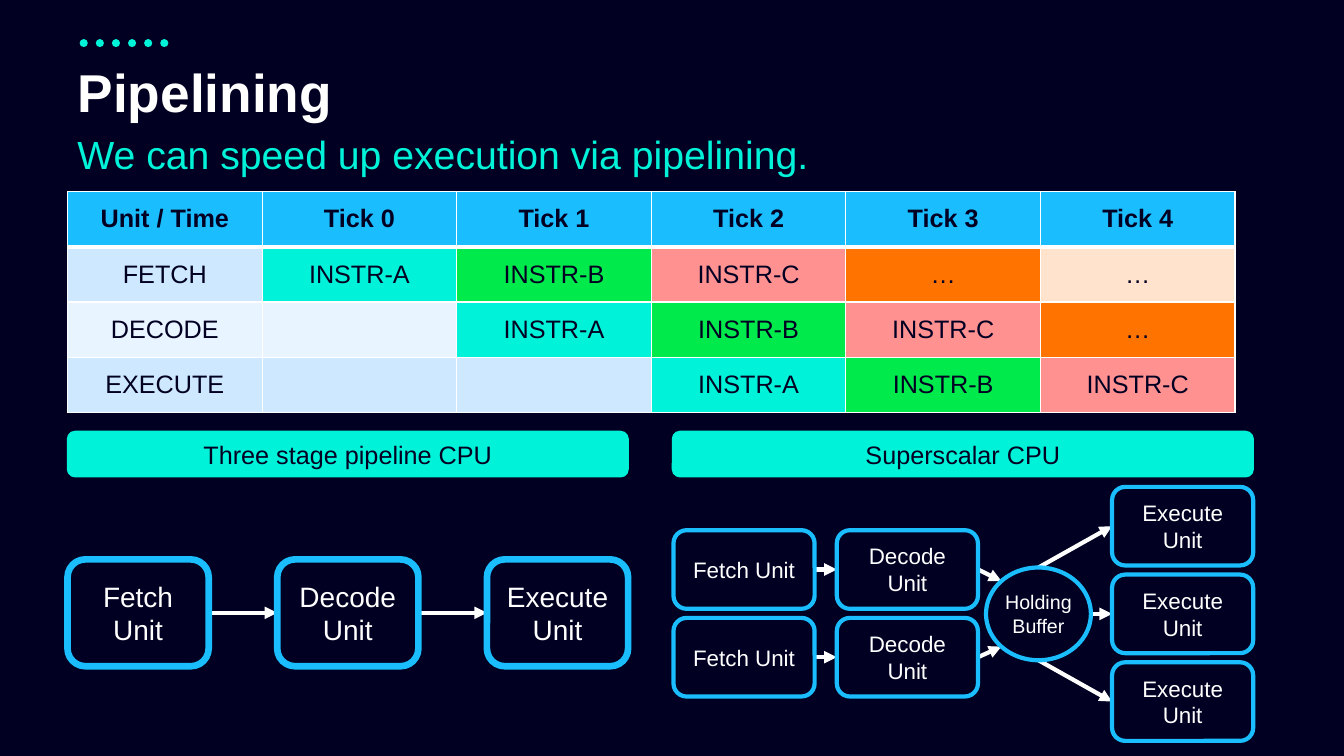
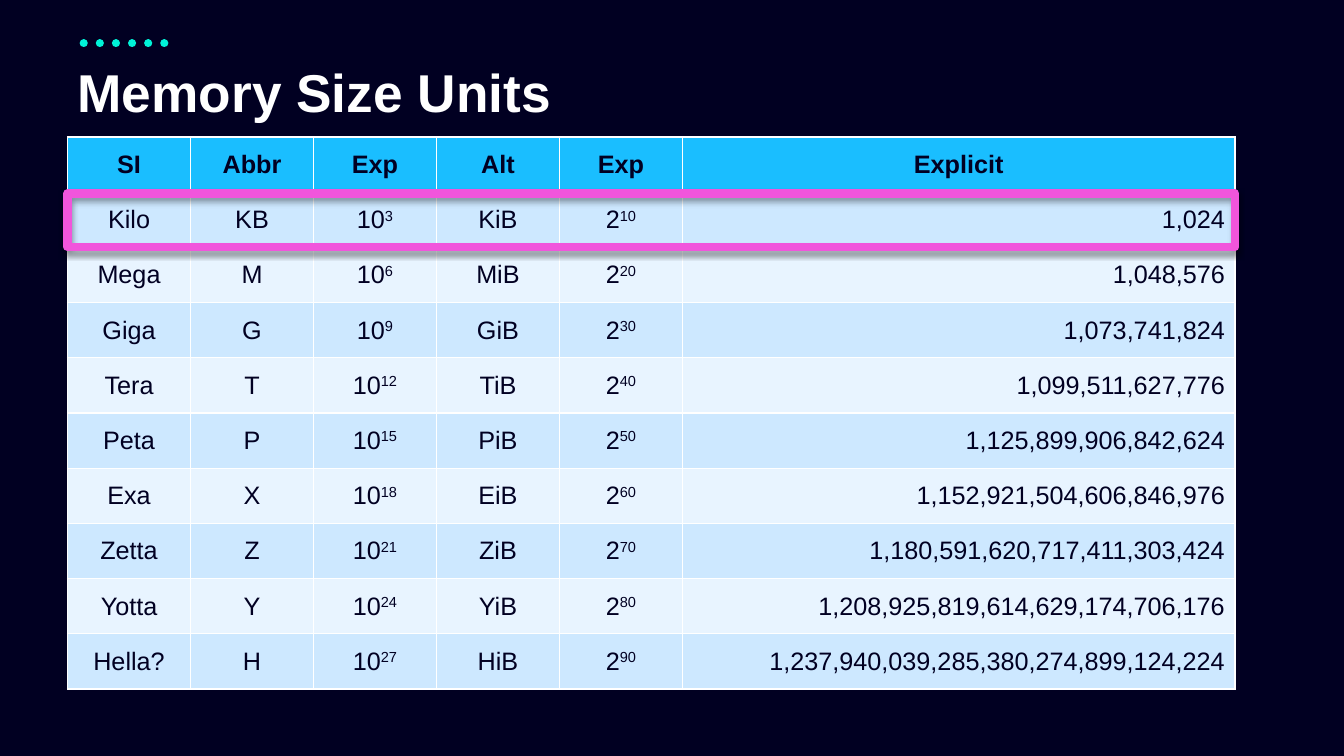
from dataclasses import dataclass

from lxml import etree
from pptx import Presentation
from pptx.dml.color import RGBColor
from pptx.enum import dml, shapes, text
from pptx.oxml.ns import qn
from pptx.util import Inches, Pt

# Shared look
FONT = "Arial"
NAVY = RGBColor(0x01, 0x00, 0x22)
WHITE = RGBColor(0xFF, 0xFF, 0xFF)
TEAL = RGBColor(0x00, 0xF3, 0xD8)
BLUE = RGBColor(0x1A, 0xBE, 0xFF)
GREEN = RGBColor(0x00, 0xEB, 0x4B)
SALMON = RGBColor(0xFF, 0x91, 0x91)
ORANGE = RGBColor(0xFF, 0x73, 0x00)
PEACH = RGBColor(0xFF, 0xE3, 0xCC)
PINK = RGBColor(0xF1, 0x55, 0xDC)
BANDS = (RGBColor(0xCD, 0xE8, 0xFF), RGBColor(0xE8, 0xF4, 0xFF))

LEFT = 0.67
CONTENT_WIDTH = 11.76
TABLE_WIDTH = 11.58
ROW_HEIGHT = 0.548
CENTER, RIGHT_ALIGN = text.PP_ALIGN.CENTER, text.PP_ALIGN.RIGHT

# Attachment points, as fractions of a box measured from its centre
Site = tuple[float, float]
TOP, BOTTOM, LEFT_SIDE, RIGHT_SIDE = (0, -0.5), (0, 0.5), (-0.5, 0), (0.5, 0)
TOP_LEFT, BOTTOM_LEFT = (-0.354, -0.354), (-0.354, 0.354)


@dataclass(frozen=True)
class Box:
    label: str
    left: float
    top: float
    width: float
    height: float
    size: float
    outline: float = 3
    fill: RGBColor = NAVY
    edge: RGBColor = BLUE
    ink: RGBColor = WHITE
    inset_x: float = 0.1
    inset_y: float = 0.1
    kind: shapes.MSO_SHAPE = shapes.MSO_SHAPE.ROUNDED_RECTANGLE

    def site(self, where: Site) -> Site:
        return (self.left + self.width * (0.5 + where[0]),
                self.top + self.height * (0.5 + where[1]))


@dataclass(frozen=True)
class Arrow:
    source: Box
    leaves: Site
    target: Box
    enters: Site = LEFT_SIDE


def style_run(run, size: float, color: RGBColor, bold: bool = False) -> None:
    run.font.name, run.font.size, run.font.bold = FONT, Pt(size), bold
    run.font.color.rgb = color


def add_line(slide, start: Site, end: Site, color: RGBColor, width: float):
    line = slide.shapes.add_connector(
        shapes.MSO_CONNECTOR.STRAIGHT, *(Inches(v) for v in (*start, *end)))
    line.line.color.rgb, line.line.width = color, Pt(width)
    etree.SubElement(line.element.spPr, qn("a:effectLst"))
    return line


def add_arrow(slide, arrow: Arrow) -> None:
    line = add_line(slide, arrow.source.site(arrow.leaves),
                    arrow.target.site(arrow.enters), WHITE, 3)
    outline = line.element.spPr.find(qn("a:ln"))
    etree.SubElement(outline, qn("a:tailEnd"), type="triangle")


def add_box(slide, box: Box) -> None:
    shape = slide.shapes.add_shape(
        box.kind, Inches(box.left), Inches(box.top), Inches(box.width), Inches(box.height))
    shape.shadow.inherit = False
    shape.fill.solid()
    shape.fill.fore_color.rgb = box.fill
    shape.line.color.rgb, shape.line.width = box.edge, Pt(box.outline)
    frame = shape.text_frame
    frame.margin_left = frame.margin_right = Inches(box.inset_x)
    frame.margin_top = frame.margin_bottom = Inches(box.inset_y)
    frame.word_wrap = True
    frame.vertical_anchor = text.MSO_ANCHOR.MIDDLE
    frame.text = box.label
    frame.paragraphs[0].alignment = CENTER
    style_run(frame.paragraphs[0].runs[0], box.size, box.ink)


def add_titled_slide(prs, title: str):
    slide = prs.slides.add_slide(prs.slide_layouts[5])
    dots = add_line(slide, (0.83, 0.43), (1.67, 0.43), TEAL, 5.75)
    dots.line.dash_style = dml.MSO_LINE.ROUND_DOT
    dots.element.spPr.find(qn("a:ln")).set("cap", "rnd")

    heading = slide.shapes.title
    heading.left, heading.top = Inches(LEFT), Inches(0.61)
    heading.width, heading.height = Inches(CONTENT_WIDTH), Inches(0.68)
    frame = heading.text_frame
    frame.text = title
    frame.auto_size = text.MSO_AUTO_SIZE.NONE
    frame.vertical_anchor = text.MSO_ANCHOR.MIDDLE
    paragraph = frame.paragraphs[0]
    paragraph.alignment, paragraph.line_spacing = text.PP_ALIGN.LEFT, 0.9
    style_run(paragraph.runs[0], 38, WHITE, bold=True)
    return slide


def add_subtitle(slide, wording: str) -> None:
    subtitle = slide.shapes.add_textbox(
        Inches(LEFT), Inches(1.3), Inches(CONTENT_WIDTH), Inches(0.78))
    frame = subtitle.text_frame
    frame.word_wrap = True
    frame.text = wording
    frame.paragraphs[0].line_spacing = 0.9
    style_run(frame.paragraphs[0].runs[0], 28, TEAL)


def set_borders(cell, top: float, bottom: float) -> None:
    properties = cell._tc.get_or_add_tcPr()
    widths = {"a:lnL": 1, "a:lnR": 1, "a:lnT": top, "a:lnB": bottom}
    for index, (side, width) in enumerate(widths.items()):
        border = etree.Element(qn(side), w=str(Pt(width)))
        fill = etree.SubElement(border, qn("a:solidFill"))
        etree.SubElement(fill, qn("a:srgbClr"), val=str(WHITE))
        properties.insert(index, border)


def fill_cell(cell, wording: str, color: RGBColor, align, bold: bool) -> None:
    """Write one cell; a caret in the wording starts a superscript."""
    cell.fill.solid()
    cell.fill.fore_color.rgb = color
    cell.vertical_anchor = text.MSO_ANCHOR.MIDDLE
    paragraph = cell.text_frame.paragraphs[0]
    paragraph.alignment = align
    base, _, exponent = wording.partition("^")
    for part in filter(None, (base, exponent)):
        run = paragraph.add_run()
        run.text = part
        style_run(run, 18, NAVY, bold)
    if exponent:
        paragraph.runs[1]._r.get_or_add_rPr().set("baseline", "30000")


def add_grid(slide, top: float, widths: list[float], rows: list[list[str]],
             accents: dict[tuple[int, int], RGBColor], last_align=CENTER) -> None:
    """Draw a banded table; accents overrides the fill of single cells."""
    table = slide.shapes.add_table(
        len(rows), len(widths), Inches(LEFT), Inches(top),
        Inches(sum(widths)), Inches(ROW_HEIGHT * len(rows))).table
    for column, width in zip(table.columns, widths):
        column.width = Inches(width)
    for r, row in enumerate(rows):
        table.rows[r].height = Inches(ROW_HEIGHT)
        for c, wording in enumerate(row):
            header = r == 0
            color = BLUE if header else accents.get((r, c), BANDS[(r - 1) % 2])
            is_last = c == len(row) - 1 and not header
            cell = table.cell(r, c)
            fill_cell(cell, wording, color, last_align if is_last else CENTER, header)
            set_borders(cell, top=3 if r == 1 else 1, bottom=3 if header else 1)


def build_pipelining(prs) -> None:
    slide = add_titled_slide(prs, "Pipelining")
    add_subtitle(slide, "We can speed up execution via pipelining.")

    # Each stage runs the same instructions one tick later
    flow = [("INSTR-A", TEAL), ("INSTR-B", GREEN), ("INSTR-C", SALMON),
            ("…", ORANGE), ("…", PEACH)]
    rows = [["Unit / Time"] + [f"Tick {tick}" for tick in range(len(flow))]]
    accents = {}
    for delay, stage in enumerate(("FETCH", "DECODE", "EXECUTE")):
        running = flow[:len(flow) - delay]
        rows.append([stage] + [""] * delay + [name for name, _ in running])
        for tick, (_, color) in enumerate(running, start=delay + 1):
            accents[delay + 1, tick] = color
    add_grid(slide, 1.9, [TABLE_WIDTH / 6] * 6, rows, accents)

    # Headings of the two diagrams
    banners = [
        Box(label, left, 4.28, width, 0.45, 18, outline=1, fill=TEAL, edge=TEAL,
            ink=NAVY, inset_x=0.03, inset_y=0.05)
        for label, left, width in (("Three stage pipeline CPU", LEFT, 5.56),
                                   ("Superscalar CPU", 6.67, 5.76))]

    # Three stage pipeline
    stages = [Box(f"{name} Unit", LEFT + 2.08 * i, 5.55, 1.4, 1.06, 20, outline=4.75)
              for i, name in enumerate(("Fetch", "Decode", "Execute"))]
    arrows = [Arrow(a, RIGHT_SIDE, b) for a, b in zip(stages, stages[1:])]

    # Superscalar pipeline
    def unit_column(label: str, left: float, top: float, count: int) -> list[Box]:
        return [Box(label, left, top + 0.87 * i, 1.4, 0.78, 16) for i in range(count)]

    fetchers = unit_column("Fetch Unit", 6.68, 5.26, 2)
    decoders = unit_column("Decode Unit", 8.3, 5.26, 2)
    executors = unit_column("Execute Unit", 11.03, 4.83, 3)
    holding = Box("Holding Buffer", 9.78, 5.63, 1.04, 0.92, 14, inset_x=0, inset_y=0,
                  kind=shapes.MSO_SHAPE.OVAL)
    arrows += [Arrow(f, RIGHT_SIDE, d) for f, d in zip(fetchers, decoders)]
    arrows += [Arrow(d, RIGHT_SIDE, holding, site)
               for d, site in zip(decoders, (TOP_LEFT, BOTTOM_LEFT))]
    arrows += [Arrow(holding, site, e)
               for e, site in zip(executors, (TOP, RIGHT_SIDE, BOTTOM))]

    for arrow in arrows:
        add_arrow(slide, arrow)
    for box in (*banners, *stages, *fetchers, *decoders, *executors, holding):
        add_box(slide, box)


def add_highlight(slide, top: float) -> None:
    highlight = slide.shapes.add_shape(
        shapes.MSO_SHAPE.RECTANGLE, Inches(LEFT), Inches(top),
        Inches(TABLE_WIDTH), Inches(0.53))
    highlight.fill.background()
    highlight.line.color.rgb, highlight.line.width = PINK, Pt(6)
    highlight.shadow.inherit = False
    effects = highlight.element.spPr.find(qn("a:effectLst"))
    shadow = etree.SubElement(effects, qn("a:outerShdw"), blurRad=str(Pt(4)),
                              dist=str(Pt(3)), dir="5400000", rotWithShape="0")
    black = etree.SubElement(shadow, qn("a:srgbClr"), val="000000")
    etree.SubElement(black, qn("a:alpha"), val="40000")


def build_memory_units(prs) -> None:
    slide = add_titled_slide(prs, "Memory Size Units")
    units = [("Kilo", "KB", "KiB"), ("Mega", "M", "MiB"), ("Giga", "G", "GiB"),
             ("Tera", "T", "TiB"), ("Peta", "P", "PiB"), ("Exa", "X", "EiB"),
             ("Zetta", "Z", "ZiB"), ("Yotta", "Y", "YiB"), ("Hella?", "H", "HiB")]
    rows = [["SI", "Abbr", "Exp", "Alt", "Exp", "Explicit"]]
    for n, (si, abbreviation, binary) in enumerate(units, start=1):
        rows.append([si, abbreviation, f"10^{3 * n}", binary,
                     f"2^{10 * n}", f"{2 ** (10 * n):,}"])
    narrow = 1.22
    add_grid(slide, 1.36, [narrow] * 5 + [TABLE_WIDTH - 5 * narrow], rows, {}, RIGHT_ALIGN)
    add_highlight(slide, 1.92)


def main() -> None:
    prs = Presentation()
    prs.slide_width, prs.slide_height = Inches(13.33), Inches(7.5)
    background = prs.slide_master.background.fill
    background.solid()
    background.fore_color.rgb = NAVY
    build_pipelining(prs)
    build_memory_units(prs)
    prs.save("out.pptx")


if __name__ == "__main__":
    main()
